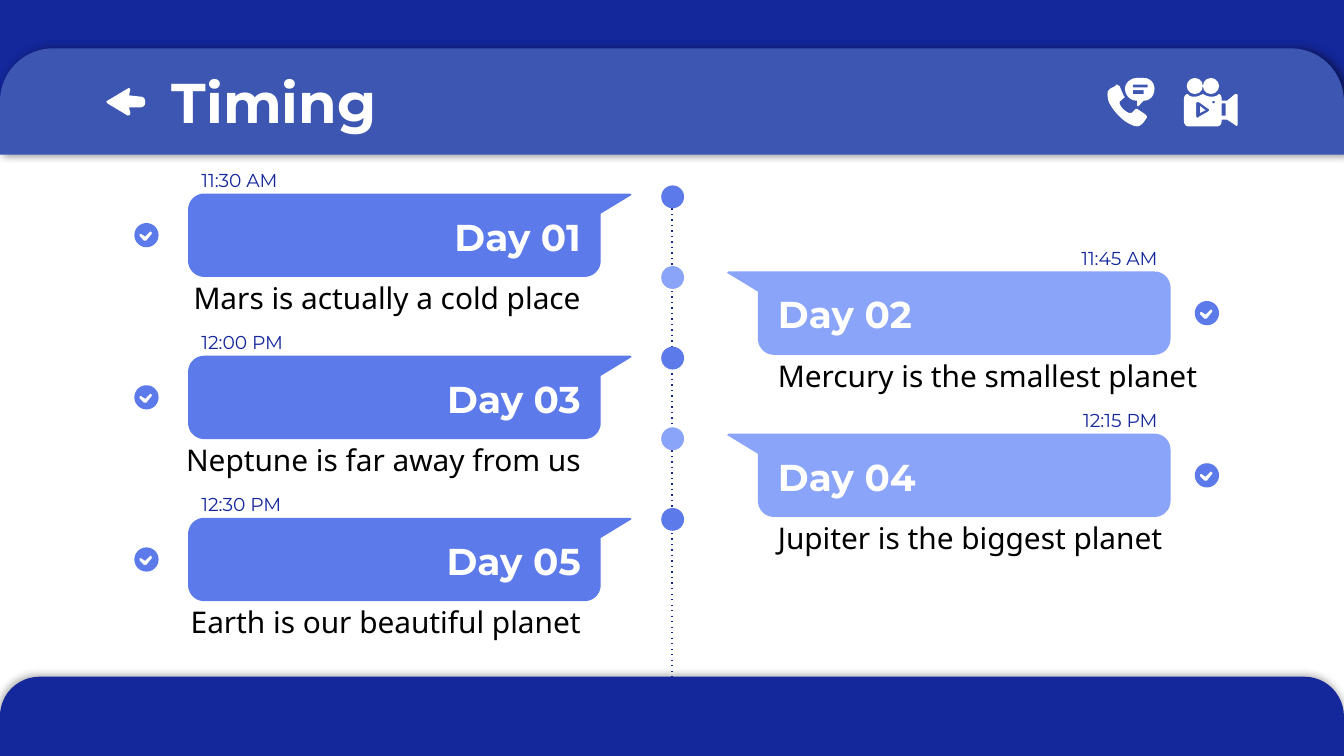
import math
from lxml import etree
from pptx import Presentation
from pptx import util as u
from pptx.dml.color import RGBColor
from pptx.enum import shapes, text
from pptx.oxml.ns import qn

NAVY = RGBColor(0x14, 0x27, 0x9B)
STEEL = RGBColor(0x3D, 0x56, 0xB2)
BLUE = RGBColor(0x5C, 0x7A, 0xEA)
PALE = RGBColor(0x8A, 0xA4, 0xF9)
WHITE = RGBColor(255, 255, 255)
BLACK = RGBColor(0, 0, 0)
HEAD, BODY = "Montserrat", "Noto Sans"
WIDE = 10
HIGH = WIDE * 9 / 16
CELL = u.Inches(1)
TOP, STEP, DROP = 1.44, 3.62 / 3, 0.58
MIRROR = 10.11
DAYS = [
    ("Day 01", "11:30 AM", "Mars is actually a cold place"),
    ("Day 02", "11:45 AM", "Mercury is the smallest planet"),
    ("Day 03", "12:00 PM", "Neptune is far away from us"),
    ("Day 04", "12:15 PM", "Jupiter is the biggest planet"),
    ("Day 05", "12:30 PM", "Earth is our beautiful planet"),
]
TICK = [(.12, .06), (.13, .07), (.13, .08), (.09, .13), (.07, .13),
        (.04, .1), (.04, .08), (.05, .08), (.08, .1)]
ARROW = [(.8, .75), (.79, .75, .79, .76, .8, .77), (.95, .86),
         (.96, .86, .97, .86, .97, .84), (.96, .8), (1.04, .8),
         (1.06, .8, 1.08, .79, 1.08, .77), (1.08, .75),
         (1.08, .73, 1.06, .72, 1.05, .72), (.96, .71), (.97, .67),
         (.97, .66, .96, .65, .95, .66)]
PHONE = [(8.31, .63), (8.3, .63, 8.3, .63, 8.3, .64), (8.26, .66),
         (8.23, .68, 8.24, .72, 8.25, .76), (8.28, .82, 8.34, .89, 8.4, .92),
         (8.42, .93, 8.44, .94, 8.46, .94), (8.48, .94, 8.49, .93, 8.51, .91),
         (8.53, .88), (8.54, .87, 8.53, .86, 8.52, .85), (8.46, .81),
         (8.45, .81, 8.45, .81, 8.44, .82), (8.42, .84),
         (8.41, .84, 8.4, .84, 8.4, .84), (8.37, .83, 8.34, .8, 8.33, .77),
         (8.33, .76, 8.33, .75, 8.34, .75), (8.36, .73),
         (8.37, .73, 8.37, .72, 8.36, .71), (8.33, .64),
         (8.32, .64, 8.32, .63, 8.31, .63)]
CHAT = [(8.46, .58), (8.41, .58, 8.37, .62, 8.37, .66),
        (8.37, .71, 8.41, .75, 8.46, .75), (8.46, .78),
        (8.46, .78, 8.46, .79, 8.47, .79), (8.51, .75),
        (8.56, .75, 8.59, .71, 8.59, .66), (8.59, .62, 8.56, .58, 8.51, .58)]
CAMERA = [(8.84, .7), (8.82, .7, 8.81, .72, 8.81, .73), (8.81, .9),
          (8.81, .92, 8.82, .94, 8.84, .94), (9.06, .94),
          (9.08, .94, 9.09, .92, 9.09, .9), (9.09, .89), (9.13, .89),
          (9.19, .93), (9.2, .94, 9.21, .94, 9.21, .92), (9.21, .71),
          (9.21, .7, 9.2, .7, 9.19, .7), (9.13, .75), (9.09, .75), (9.09, .73),
          (9.09, .72, 9.08, .7, 9.07, .7), (9.05, .72, 9.03, .72, 9.01, .72),
          (8.99, .72, 8.97, .71, 8.95, .7), (8.93, .71, 8.91, .72, 8.89, .72),
          (8.87, .72, 8.85, .72, 8.84, .7)]
PLAY = [(8.92, .76), (8.99, .81), (9, .81, 9, .82, 8.99, .83), (8.92, .87),
        (8.92, .88, 8.9, .88, 8.9, .86), (8.9, .77),
        (8.9, .76, 8.91, .76, 8.92, .76)]


def grid(num):
    return int(round(num * CELL))


def arc(mid, top, rad, start, end, parts=12):
    turns = [math.radians(start + (end - start) * i / parts) for i in range(parts + 1)]
    return [(mid + rad * math.cos(t), top + rad * math.sin(t)) for t in turns]


def bend(path):
    pts = []
    for item in path:
        if len(item) == 2:
            pts.append(item)
            continue
        knots = [pts[-1], item[:2], item[2:4], item[4:]]
        for i in range(1, 7):
            t = i / 6
            share = [(1 - t) ** 3, 3 * t * (1 - t) ** 2, 3 * t * t * (1 - t), t ** 3]
            pts.append(tuple(sum(s * k[a] for s, k in zip(share, knots)) for a in (0, 1)))
    return pts


def bar(left, top, right, low):
    return [(left, top), (right, top), (right, low), (left, low)]


def paint(shape, tint):
    shape.shadow.inherit = False
    shape.fill.solid()
    shape.fill.fore_color.rgb = tint
    shape.line.fill.background()
    return shape


def outline(slide, tint, *paths):
    loops = [[(grid(x), grid(y)) for x, y in path] for path in paths]
    form = slide.shapes.build_freeform(*loops[0][0], scale=1.0)
    form.add_line_segments(loops[0][1:], close=True)
    for loop in loops[1:]:
        form.move_to(*loop[0])
        form.add_line_segments(loop[1:], close=True)
    return paint(form.convert_to_shape(), tint)


def block(slide, kind, left, top, width, height, tint):
    return paint(slide.shapes.add_shape(
        kind, *map(grid, (left, top, width, height))), tint)


def shade(shape, alpha, angle):
    glow = shape._element.spPr.find(qn("a:effectLst"))
    drop = etree.SubElement(glow, qn("a:outerShdw"), blurRad=str(u.Pt(4.5)),
                            dist=str(u.Pt(1.5)), dir=str(angle * 60000),
                            algn="bl", rotWithShape="0")
    tone = etree.SubElement(drop, qn("a:srgbClr"), val=str(BLACK))
    etree.SubElement(tone, qn("a:alpha"), val=str(alpha * 1000))


def panel(slide, top, height, tint, alpha, angle):
    form = block(slide, shapes.MSO_SHAPE.ROUND_2_SAME_RECTANGLE, 0, top, WIDE, height, tint)
    form.adjustments[0], form.adjustments[1] = 0.5, 0
    shade(form, alpha, angle)


def write(slide, words, left, top, width, height, *, size, tint,
          font=HEAD, bold=False, right=False, grow=False):
    box = slide.shapes.add_textbox(*map(grid, (left, top, width, height)))
    frame = box.text_frame
    frame.word_wrap = True
    if grow:
        frame.auto_size = text.MSO_AUTO_SIZE.SHAPE_TO_FIT_TEXT
    frame.margin_left = frame.margin_right = grid(.1)
    frame.margin_top = frame.margin_bottom = grid(.1)
    para = frame.paragraphs[0]
    para.alignment = text.PP_ALIGN.RIGHT if right else text.PP_ALIGN.LEFT
    run = para.add_run()
    run.text = words
    run.font.name, run.font.size, run.font.bold = font, u.Pt(size), bold
    run.font.color.rgb = tint


def thread(slide):
    line = slide.shapes.add_connector(
        shapes.MSO_CONNECTOR.STRAIGHT, grid(5), grid(1.55), grid(5), grid(5.06))
    line.line.color.rgb = NAVY
    line.line.width = u.Pt(.75)
    props = line._element.spPr
    etree.SubElement(props.find(qn("a:ln")), qn("a:prstDash"), val="dot")
    etree.SubElement(props, qn("a:effectLst"))


def icons(slide):
    outline(slide, WHITE, bend(PHONE))
    outline(slide, WHITE, bend(CHAT), bar(8.43, .63, 8.54, .65), bar(8.43, .67, 8.51, .7))
    outline(slide, WHITE, bend(ARROW))
    outline(slide, WHITE, bend(CAMERA), arc(9.03, .76, .01, 0, 360),
            bar(9.09, .77, 9.12, .86), bend(PLAY))
    outline(slide, WHITE, [(8.93, .79), (8.93, .84), (8.97, .82)])
    for left in (8.83, 8.95):
        block(slide, shapes.MSO_SHAPE.OVAL, left, .58, .12, .12, WHITE)


def day(slide, index, name, hour, note):
    row, odd = divmod(index, 2)
    top = TOP + row * STEP + odd * DROP
    left = not odd
    tint = BLUE if left else PALE

    def side(start, width):
        return start if left else MIRROR - start - width

    rim = [(4.69, top), (4.7, top + .01), (4.47, top + .15)]
    rim += arc(4.35, top + .5, .12, 0, 90) + arc(1.52, top + .5, .12, 90, 180)
    rim += arc(1.52, top + .12, .12, 180, 270)
    outline(slide, tint, [(side(x, 0), y) for x, y in rim])
    write(slide, name, side(2.04, 2.38), top + .05, 2.38, .53,
          size=20, tint=WHITE, bold=True, right=left)
    write(slide, note, side(.89, 3.53), top + .54, 3.53, .48,
          size=16, tint=BLACK, font=BODY, right=left)
    write(slide, hour, side(1.4, .85), top - .27, .85, .32,
          size=10, tint=NAVY, right=not left, grow=True)
    edge = 1 if left else 8.89
    outline(slide, BLUE, arc(edge + .09, top + .31, .09, 0, 360, 36),
            [(edge + x, top + .22 + y) for x, y in TICK])
    block(slide, shapes.MSO_SHAPE.OVAL, 4.92, 1.38 + index * .6, .17, .17, tint)


def main():
    deck = Presentation()
    deck.slide_width, deck.slide_height = grid(WIDE), grid(HIGH)
    slide = deck.slides.add_slide(deck.slide_layouts[6])
    panel(slide, HIGH - .59, .59, NAVY, 32, 237)
    block(slide, shapes.MSO_SHAPE.RECTANGLE, 0, 0, WIDE, 1.01, NAVY)
    panel(slide, .36, .79, STEEL, 50, 0)
    write(slide, "Timing", 1.18, .4, 8.03, .63, size=30, tint=WHITE, bold=True)
    thread(slide)
    icons(slide)
    for index, entry in enumerate(DAYS):
        day(slide, index, *entry)
    deck.save("out.pptx")


if __name__ == "__main__":
    main()
